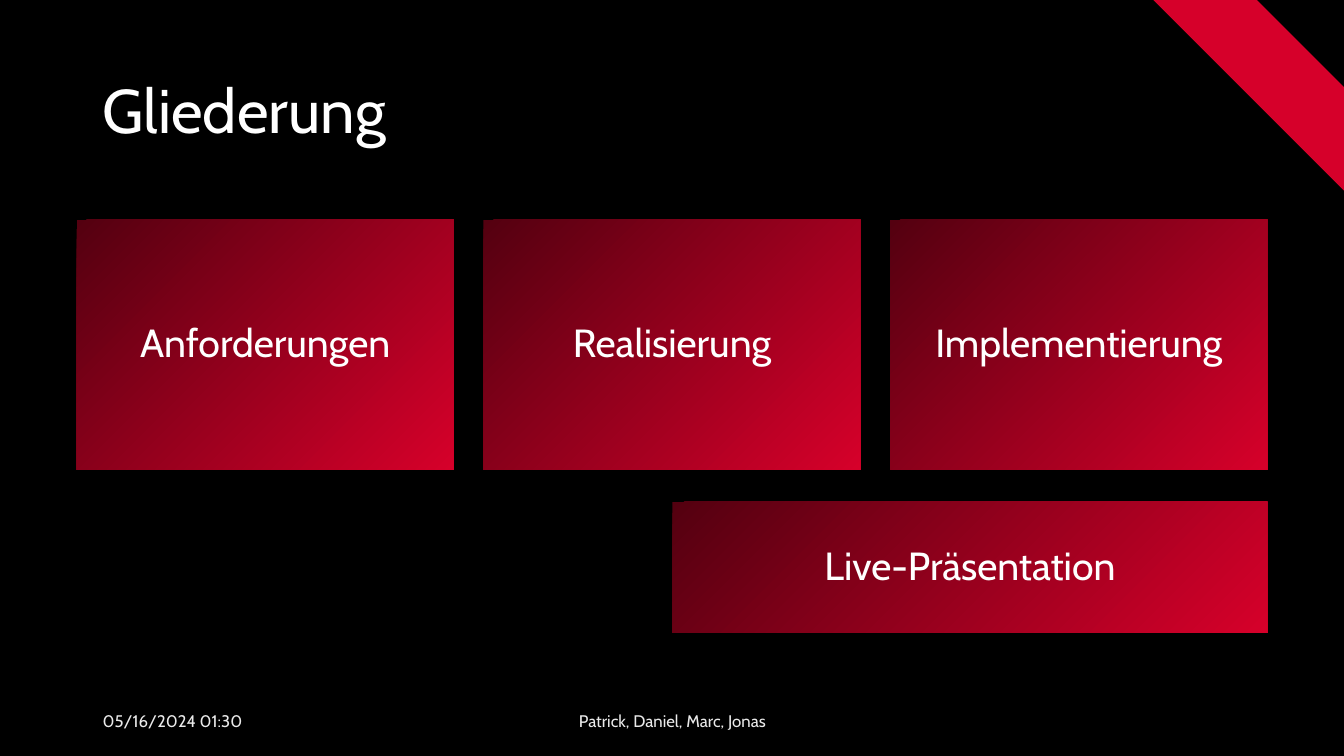
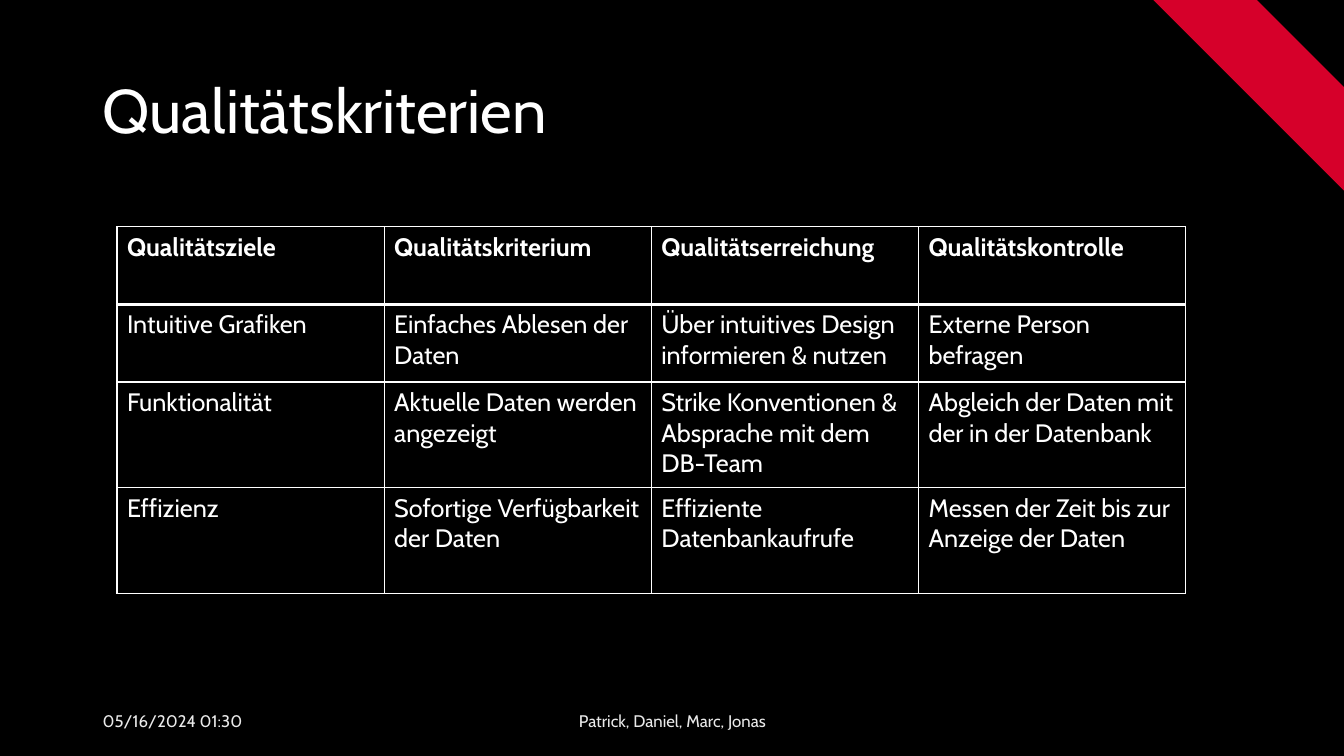
import pptx
import pptx.util
import pptx.dml.color
import pptx.enum.shapes
import pptx.enum.text
import pptx.oxml
import pptx.oxml.ns

Inches = pptx.util.Inches
Pt = pptx.util.Pt
RGBColor = pptx.dml.color.RGBColor
Align = pptx.enum.text.PP_ALIGN
Anchor = pptx.enum.text.MSO_ANCHOR
Shape = pptx.enum.shapes.MSO_SHAPE

FONT = "Cabin"
BLACK = RGBColor(0x00, 0x00, 0x00)
WHITE = RGBColor(0xFF, 0xFF, 0xFF)
PALE = RGBColor(0xEA, 0xEA, 0xEA)
RED = RGBColor(0xD6, 0x00, 0x2A)
DARK_RED = RGBColor(0x54, 0x00, 0x10)


def write(frame, text, size=18, color=WHITE, bold=False, align=Align.LEFT,
          spacing=1.0, before=0):
    frame.word_wrap = True
    para = frame.paragraphs[0]
    para.alignment = align
    para.line_spacing = spacing
    para.space_before = Pt(before)
    span = para.add_run()
    span.text = text
    span.font.name = FONT
    span.font.size = Pt(size)
    span.font.bold = bold
    span.font.color.rgb = color


deck = pptx.Presentation()
deck.slide_width = Inches(13.33)
deck.slide_height = Inches(7.5)

# Shared frame: background, corner stripe, title, footer
pages = []
for title in ("Gliederung", "Qualitätskriterien"):
    page = deck.slides.add_slide(deck.slide_layouts[6])
    page.background.fill.solid()
    page.background.fill.fore_color.rgb = BLACK

    stripe = page.shapes.add_shape(
        Shape.DIAGONAL_STRIPE, Inches(11.39), Inches(-0.05), Inches(2.05), Inches(2.05))
    stripe.shadow.inherit = False
    stripe.fill.solid()
    stripe.fill.fore_color.rgb = RED
    stripe.line.fill.background()
    stripe._element.spPr.xfrm.set("flipH", "1")

    for text, left, top, width, height, style in (
        (title, 0.92, 0.4, 11.5, 1.45, dict(size=44, spacing=0.9)),
        ("05/16/2024 01:30", 0.92, 6.95, 3, 0.4, dict(size=12, color=PALE)),
        ("Patrick, Daniel, Marc, Jonas", 4.42, 6.95, 4.5, 0.4,
         dict(size=12, color=PALE, align=Align.CENTER)),
    ):
        box = page.shapes.add_textbox(Inches(left), Inches(top), Inches(width), Inches(height))
        box.text_frame.vertical_anchor = Anchor.MIDDLE
        write(box.text_frame, text, **style)
    pages.append(page)
outline_page, criteria_page = pages

# Outline: three equal tiles across, one wide tile below, flush right
LEFT, RIGHT, TILE_WIDTH = 0.76, 12.57, 3.74
pitch = (RIGHT - LEFT - TILE_WIDTH) / 2
tiles = [(text, LEFT + index * pitch, 2.18, TILE_WIDTH, 2.48)
         for index, text in enumerate(("Anforderungen", "Realisierung", "Implementierung"))]
tiles.append(("Live-Präsentation", RIGHT - 5.9, 4.98, 5.9, 1.3))
for text, left, top, width, height in tiles:
    tile = outline_page.shapes.add_shape(
        Shape.RECTANGLE, Inches(left), Inches(top), Inches(width), Inches(height))
    tile.shadow.inherit = False
    tile.line.fill.background()
    tile.fill.gradient()
    tile.fill.gradient_angle = 315
    for stop, color, position in zip(tile.fill.gradient_stops, (DARK_RED, RED), (0, 1)):
        stop.color.rgb = color
        stop.position = position
    tile.text_frame.vertical_anchor = Anchor.MIDDLE
    write(tile.text_frame, text, size=28, align=Align.CENTER, spacing=0.9, before=10)

# Criteria table
criteria = (
    ("Qualitätsziele", "Qualitätskriterium", "Qualitätserreichung", "Qualitätskontrolle"),
    ("Intuitive Grafiken", "Einfaches Ablesen der Daten",
     "Über intuitives Design informieren & nutzen", "Externe Person befragen"),
    ("Funktionalität", "Aktuelle Daten werden angezeigt",
     "Strike Konventionen & Absprache mit dem DB-Team",
     "Abgleich der Daten mit der in der Datenbank"),
    ("Effizienz", "Sofortige Verfügbarkeit der Daten", "Effiziente Datenbankaufrufe",
     "Messen der Zeit bis zur Anzeige der Daten"),
)
row_heights = (0.77, 0.77, 1.05, 1.05)
table = criteria_page.shapes.add_table(
    len(criteria), len(criteria[0]), Inches(1.16), Inches(2.25),
    Inches(10.6), Inches(sum(row_heights))).table
table.horz_banding = False
for column in table.columns:
    column.width = Inches(2.65)
for row_index, (texts, height) in enumerate(zip(criteria, row_heights)):
    table.rows[row_index].height = Inches(height)
    for column_index, text in enumerate(texts):
        cell = table.cell(row_index, column_index)
        write(cell.text_frame, text, bold=row_index == 0)
        # A thick rule separates the header from the first row
        borders = {"lnL": 1, "lnR": 1,
                   "lnT": 3 if row_index == 1 else 1,
                   "lnB": 3 if row_index == 0 else 1}
        properties = cell._tc.get_or_add_tcPr()
        for side, weight in borders.items():
            properties.append(pptx.oxml.parse_xml(
                f'<a:{side} {pptx.oxml.ns.nsdecls("a")} w="{Pt(weight)}">'
                f'<a:solidFill><a:srgbClr val="{WHITE}"/></a:solidFill></a:{side}>'))
        cell.fill.background()

deck.save("out.pptx")
